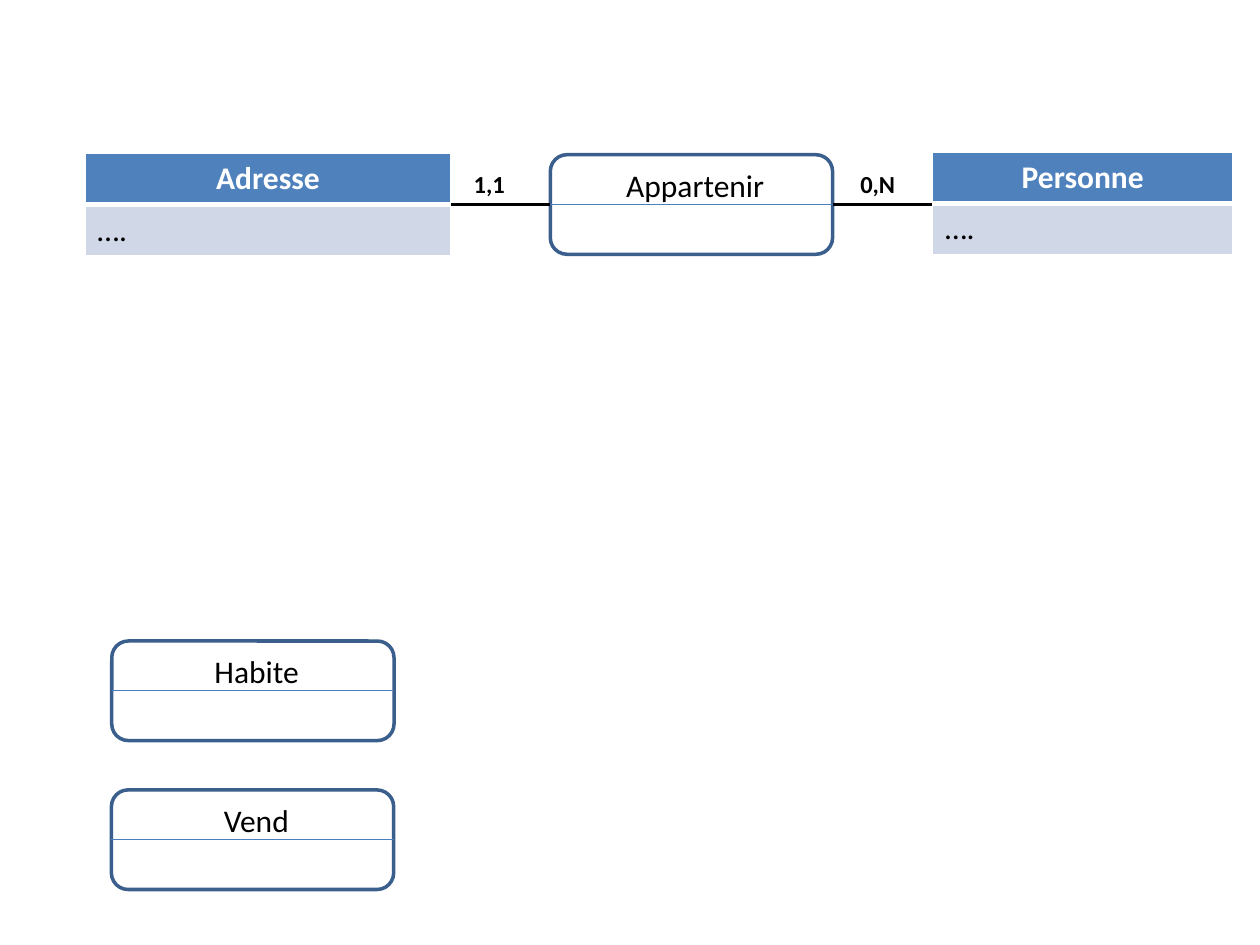
from lxml import etree
from pptx import Presentation
from pptx.dml.color import RGBColor
from pptx.enum.shapes import MSO_CONNECTOR, MSO_SHAPE
from pptx.enum.text import MSO_ANCHOR, MSO_AUTO_SIZE, PP_ALIGN
from pptx.oxml.ns import qn
from pptx.util import Pt

LINE = MSO_CONNECTOR.STRAIGHT
ROUNDED = MSO_SHAPE.ROUNDED_RECTANGLE
LEFT, CENTER = PP_ALIGN.LEFT, PP_ALIGN.CENTER
TOP = MSO_ANCHOR.TOP
GROW = MSO_AUTO_SIZE.SHAPE_TO_FIT_TEXT
COLORS = {
    "white": "FFFFFF",
    "black": "000000",
    "header": "4F81BD",
    "body": "D0D8E8",
    "outline": "3A5F8C",
    "divider": "4B7EBC",
}
ROW_HEIGHT = 29.2
ASSOCIATION_SIZE = (161.3, 56.9)


def color(key):
    return RGBColor.from_string(COLORS[key])


def write(frame, text, size=18, ink="black", bold=False, align=LEFT):
    paragraph = frame.paragraphs[0]
    paragraph.alignment = align
    run = paragraph.add_run()
    run.text = text
    run.font.name = "Calibri"
    run.font.size = Pt(size)
    run.font.bold = bold
    run.font.color.rgb = color(ink)


def add_label(shapes, box, text, inset=None, **text_format):
    label = shapes.add_textbox(*map(Pt, box))
    frame = label.text_frame
    frame.word_wrap = True
    frame.auto_size = GROW
    if inset is not None:
        frame.margin_left = frame.margin_right = Pt(inset)
        frame.margin_top = frame.margin_bottom = Pt(inset)
    write(frame, text, **text_format)


def add_line(shapes, start, end, ink, width):
    line = shapes.add_connector(LINE, *map(Pt, start + end))
    line.line.color.rgb = color(ink)
    line.line.width = Pt(width)
    etree.SubElement(line._element.spPr, qn("a:effectLst"))


def set_borders(cell, widths):
    properties = cell._tc.get_or_add_tcPr()
    for side, width in zip(("lnL", "lnR", "lnT", "lnB"), widths):
        border = etree.SubElement(properties, qn(f"a:{side}"), w=str(Pt(width)))
        fill = etree.SubElement(border, qn("a:solidFill"))
        etree.SubElement(fill, qn("a:srgbClr"), val=COLORS["white"])


def add_entity(shapes, left, top, width, name):
    rows = [
        (name, "header", (1, 1, 1, 3), {"ink": "white", "bold": True, "align": CENTER}),
        ("….", "body", (1, 1, 3, 1), {}),
    ]
    box = map(Pt, (left, top, width, ROW_HEIGHT * len(rows)))
    entity = shapes.add_table(len(rows), 1, *box).table
    for index, (text, fill, borders, text_format) in enumerate(rows):
        entity.rows[index].height = Pt(ROW_HEIGHT)
        cell = entity.cell(index, 0)
        set_borders(cell, borders)
        cell.fill.solid()
        cell.fill.fore_color.rgb = color(fill)
        cell.vertical_anchor = TOP
        write(cell.text_frame, text, **text_format)


def add_association(shapes, left, top, name):
    width, height = ASSOCIATION_SIZE
    parts = shapes.add_group_shape().shapes
    frame = parts.add_shape(ROUNDED, *map(Pt, (left, top, width, height)))
    frame.shadow.inherit = False
    frame.fill.background()
    frame.line.color.rgb = color("outline")
    frame.line.width = Pt(2)
    middle = top + height / 2
    add_line(parts, (left, middle), (left + width, middle), "divider", 0.75)
    add_label(parts, (left + 18, top + 6.5, 129.6, 21.8), name, inset=0, align=CENTER)


def add_link(shapes, left, right, level, label_left, cardinality):
    add_line(shapes, (left, level), (right, level), "black", 2)
    add_label(shapes, (label_left, level - 24.2, 56.9, 24.2), cardinality,
              size=14, bold=True)


def main():
    deck = Presentation()
    deck.slide_width, deck.slide_height = Pt(720), Pt(540)
    shapes = deck.slides.add_slide(deck.slide_layouts[6]).shapes
    add_entity(shapes, 532.8, 87.2, 171.8, "Personne")
    add_entity(shapes, 48.5, 87.8, 209.3, "Adresse")
    for left, top, name in [
        (314.5, 88.4, "Appartenir"),
        (63.9, 366.3, "Habite"),
        (63.7, 451.4, "Vend"),
    ]:
        add_association(shapes, left, top, name)
    add_link(shapes, 257.8, 314.5, 117, 263.6, "1,1")
    add_link(shapes, 475.8, 532.8, 117, 484.5, "0,N")
    deck.save("out.pptx")


main()
